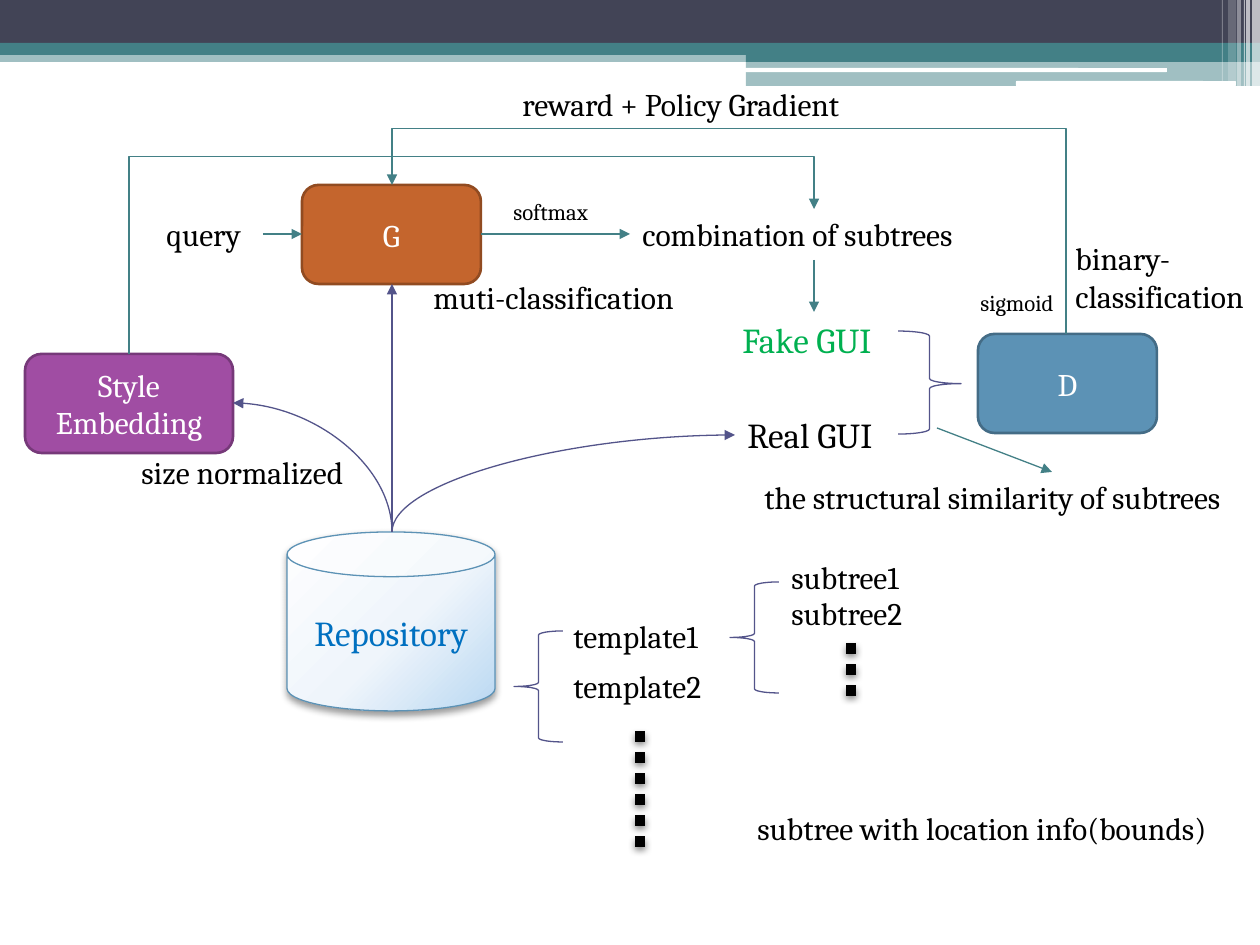
from dataclasses import dataclass

from pptx import Presentation
from pptx.dml.color import RGBColor
from pptx.enum.shapes import MSO_CONNECTOR, MSO_SHAPE
from pptx.enum.text import MSO_ANCHOR, MSO_AUTO_SIZE, PP_ALIGN
from pptx.oxml import parse_xml
from pptx.oxml.ns import nsdecls, qn
from pptx.util import Pt
from lxml.etree import SubElement

EMU_PER_PX = 914400 / 126


@dataclass(frozen=True)
class Theme:
    """Colours, font and type sizes of the slide."""
    font: str = "Cambria"
    small: int = 13
    body: int = 18
    large: int = 20
    white: str = "FFFFFF"
    black: str = "000000"
    navy: str = "424456"
    teal: str = "438086"
    violet: str = "53548A"
    orange: str = "C4652D"
    orange_edge: str = "914B21"
    blue: str = "5C92B5"
    blue_edge: str = "446C86"
    purple: str = "A04DA3"
    purple_edge: str = "763979"
    green: str = "00B050"
    link_blue: str = "0070C0"
    can_stops: tuple = ((0, "FEFEFF"), (55, "EFF5FB"), (100, "BAD8F2"))


T = Theme()


def px(*values):
    """Turn pixel lengths into EMU."""
    return [round(v * EMU_PER_PX) for v in values]


def rgb(color):
    """Turn a hex string into a colour."""
    return RGBColor.from_string(color)


def write(s, text, size, color, align=PP_ALIGN.LEFT):
    """Put one styled paragraph into a shape."""
    tf = s.text_frame
    tf.word_wrap = True
    p = tf.paragraphs[0]
    p.text, p.alignment = text, align
    p.font.name, p.font.size = T.font, Pt(size)
    p.font.color.rgb = rgb(color)


def add_label(sp, text, x, y, w, size=T.body, color=T.black, lines=1):
    """Add a text box whose height follows its type size."""
    height = round(size * 2.06 * lines) + 13
    s = sp.add_textbox(*px(x, y, w, height))
    write(s, text, size, color)
    s.text_frame.auto_size = MSO_AUTO_SIZE.SHAPE_TO_FIT_TEXT


def add_box(sp, kind, box, fill=None, line=None, width=0.75, alpha=100):
    """Add a flat preset shape."""
    s = sp.add_shape(kind, *px(*box))
    s.shadow.inherit = False
    if fill:
        s.fill.solid()
        s.fill.fore_color.rgb = rgb(fill)
    else:
        s.fill.background()
    if alpha < 100:
        clr = s._element.spPr.find(qn("a:solidFill"))[0]
        SubElement(clr, qn("a:alpha")).set("val", str(alpha * 1000))
    if line:
        s.line.color.rgb = rgb(line)
        s.line.width = Pt(width)
    else:
        s.line.fill.background()
    return s


def add_shadow(effects, alpha, blur):
    """Add a soft shadow that falls straight down."""
    effects.append(parse_xml(
        f'<a:outerShdw {nsdecls("a")} blurRad="{Pt(blur)}" dist="{Pt(2)}" '
        f'dir="5400000" rotWithShape="0"><a:srgbClr val="{T.black}">'
        f'<a:alpha val="{alpha * 1000}"/></a:srgbClr></a:outerShdw>'))


def add_node(sp, text, box, fill, edge):
    """Add a rounded model node."""
    s = add_box(sp, MSO_SHAPE.ROUNDED_RECTANGLE, box, fill, edge, 1.5)
    s.text_frame.vertical_anchor = MSO_ANCHOR.MIDDLE
    write(s, text, T.body, T.white, PP_ALIGN.CENTER)


def add_repository(sp, box):
    """Add the shaded repository cylinder."""
    s = add_box(sp, MSO_SHAPE.CAN, box, T.white, T.blue)
    spPr = s._element.spPr
    stops = "".join(f'<a:gs pos="{pos * 1000}"><a:srgbClr val="{c}"/></a:gs>'
                    for pos, c in T.can_stops)
    spPr.replace(spPr.find(qn("a:solidFill")), parse_xml(
        f'<a:gradFill {nsdecls("a")} rotWithShape="1"><a:gsLst>{stops}</a:gsLst>'
        '<a:path path="circle"><a:fillToRect l="-40000" t="-90000" '
        'r="140000" b="190000"/></a:path></a:gradFill>'))
    add_shadow(spPr.find(qn("a:effectLst")), 40, 4.1)
    s.text_frame.vertical_anchor = MSO_ANCHOR.MIDDLE
    write(s, "Repository", T.large, T.link_blue, PP_ALIGN.CENTER)


def add_line(sp, start, end, color, width=0.75, kind=MSO_CONNECTOR.STRAIGHT):
    """Add a connector and return it with its line and effect elements."""
    s = sp.add_connector(kind, *px(*start, *end))
    s.line.color.rgb = rgb(color)
    s.line.width = Pt(width)
    effects = SubElement(s._element.spPr, qn("a:effectLst"))
    return s, s.line._get_or_add_ln(), effects


def add_arrow(sp, start, end, color=T.teal, kind=MSO_CONNECTOR.STRAIGHT):
    """Add a connector that ends in a triangle."""
    s, ln, _ = add_line(sp, start, end, color, kind=kind)
    SubElement(ln, qn("a:tailEnd")).set("type", "triangle")
    return s


def add_rising_arrow(sp, start, end, color, kind, preset, bend=None):
    """Add a turned connector that leaves its start upwards."""
    (x1, y1), (x2, y2) = start, end
    cx, cy = (x1 + x2) / 2, (y1 + y2) / 2
    half_w, half_h = abs(y2 - y1) / 2, abs(x2 - x1) / 2
    s = add_arrow(sp, (cx - half_w, cy - half_h), (cx + half_w, cy + half_h),
                  color, kind)
    spPr = s._element.spPr
    xfrm, geom = spPr.find(qn("a:xfrm")), spPr.find(qn("a:prstGeom"))
    rightward = x2 > x1
    xfrm.set("rot", str((90 if rightward else 270) * 60000))
    xfrm.set("flipH", str(int(rightward)))
    xfrm.set("flipV", "1")
    geom.set("prst", preset)
    if bend:
        gd = SubElement(geom.find(qn("a:avLst")), qn("a:gd"))
        gd.set("name", "adj1")
        gd.set("fmla", f"val {round(bend * 100000)}")


def add_dots(sp, x, top, bottom):
    """Add a column of square dots."""
    _, ln, effects = add_line(sp, (x, top), (x, bottom), T.black, 6)
    SubElement(ln, qn("a:prstDash")).set("val", "sysDot")
    add_shadow(effects, 45, 4)


def add_header(sp):
    """Add the banded header with its bars and pale stripes."""
    for box, fill, alpha in (((0, 50, 1260, 12), T.teal, 50),
                             ((0, 0, 1260, 43), T.navy, 100),
                             ((0, 43, 1260, 12), T.teal, 100),
                             ((746, 49, 514, 13), T.teal, 100),
                             ((746, 62, 514, 24), T.teal, 50)):
        add_box(sp, MSO_SHAPE.RECTANGLE, box, fill, alpha=alpha)
    for box in ((745, 68, 422, 4), (1016, 81, 220, 5)):
        add_box(sp, MSO_SHAPE.ROUNDED_RECTANGLE, box, T.white)
    for x, w, h, alpha in ((1252, 8, 86, 65), (1246, 4, 86, 65), (1244, 1, 86, 60),
                           (1237, 4, 86, 40), (1228, 8, 81, 20), (1222, 1, 81, 30)):
        add_box(sp, MSO_SHAPE.RECTANGLE, (x, 0, w, h), T.white, alpha=alpha)


def add_labels(sp):
    """Add all free-standing labels."""
    for text, x, y, w in (("query", 154, 209, 110),
                          ("combination of subtrees", 630, 209, 367),
                          ("template1", 561, 611, 189),
                          ("template2", 561, 661, 189),
                          ("subtree1", 779, 552, 189),
                          ("subtree2", 779, 588, 189),
                          ("subtree with location info(bounds)", 745, 803, 510),
                          ("the structural similarity of subtrees", 752, 472, 533),
                          ("reward + Policy Gradient", 510, 79, 402),
                          ("size normalized", 129, 447, 243),
                          ("muti-classification", 421, 272, 289)):
        add_label(sp, text, x, y, w)
    add_label(sp, "binary-classification", 1063, 233, 219, lines=2)
    add_label(sp, "Fake GUI", 730, 312, 179, T.large, T.green)
    add_label(sp, "Real GUI", 735, 407, 179, T.large)
    add_label(sp, "softmax", 501, 192, 147, T.small)
    add_label(sp, "sigmoid", 968, 283, 108, T.small)


def add_flow(sp):
    """Add the arrows, braces and dots that join the parts."""
    for start, end in (((263, 234), (302, 234)), ((481, 234), (630, 234)),
                       ((814, 260), (814, 312)), ((937, 428), (1052, 472))):
        add_arrow(sp, start, end)
    source = (392, 532)
    add_arrow(sp, source, (392, 284), T.violet)
    for end in ((735, 435), (233, 403)):
        add_rising_arrow(sp, source, end, T.violet, MSO_CONNECTOR.CURVE,
                         "curvedConnector2")
    for start, end, bend in (((1066, 334), (392, 185), 1.38),
                             ((129, 354), (814, 209), 1.36)):
        add_rising_arrow(sp, start, end, T.teal, MSO_CONNECTOR.ELBOW,
                         "bentConnector3", bend)
    for box in ((730, 582, 49, 111), (514, 631, 49, 111)):
        add_box(sp, MSO_SHAPE.LEFT_BRACE, box, line=T.violet)
    brace = add_box(sp, MSO_SHAPE.LEFT_BRACE, (898, 331, 63, 103), line=T.violet)
    brace.rotation = 180
    brace.adjustments[0], brace.adjustments[1] = 0.08, 0.49
    add_dots(sp, 640, 731, 849)
    add_dots(sp, 851, 643, 702)


def main():
    """Build and save the slide."""
    prs = Presentation()
    prs.slide_width, prs.slide_height = px(1260, 945)
    sp = prs.slides.add_slide(prs.slide_layouts[6]).shapes
    add_header(sp)
    add_node(sp, "G", (302, 185, 179, 99), T.orange, T.orange_edge)
    add_node(sp, "D", (978, 334, 179, 99), T.blue, T.blue_edge)
    add_node(sp, "Style Embedding", (25, 354, 208, 99), T.purple, T.purple_edge)
    add_repository(sp, (287, 532, 208, 179))
    add_flow(sp)
    add_labels(sp)
    prs.save("out.pptx")


if __name__ == "__main__":
    main()
